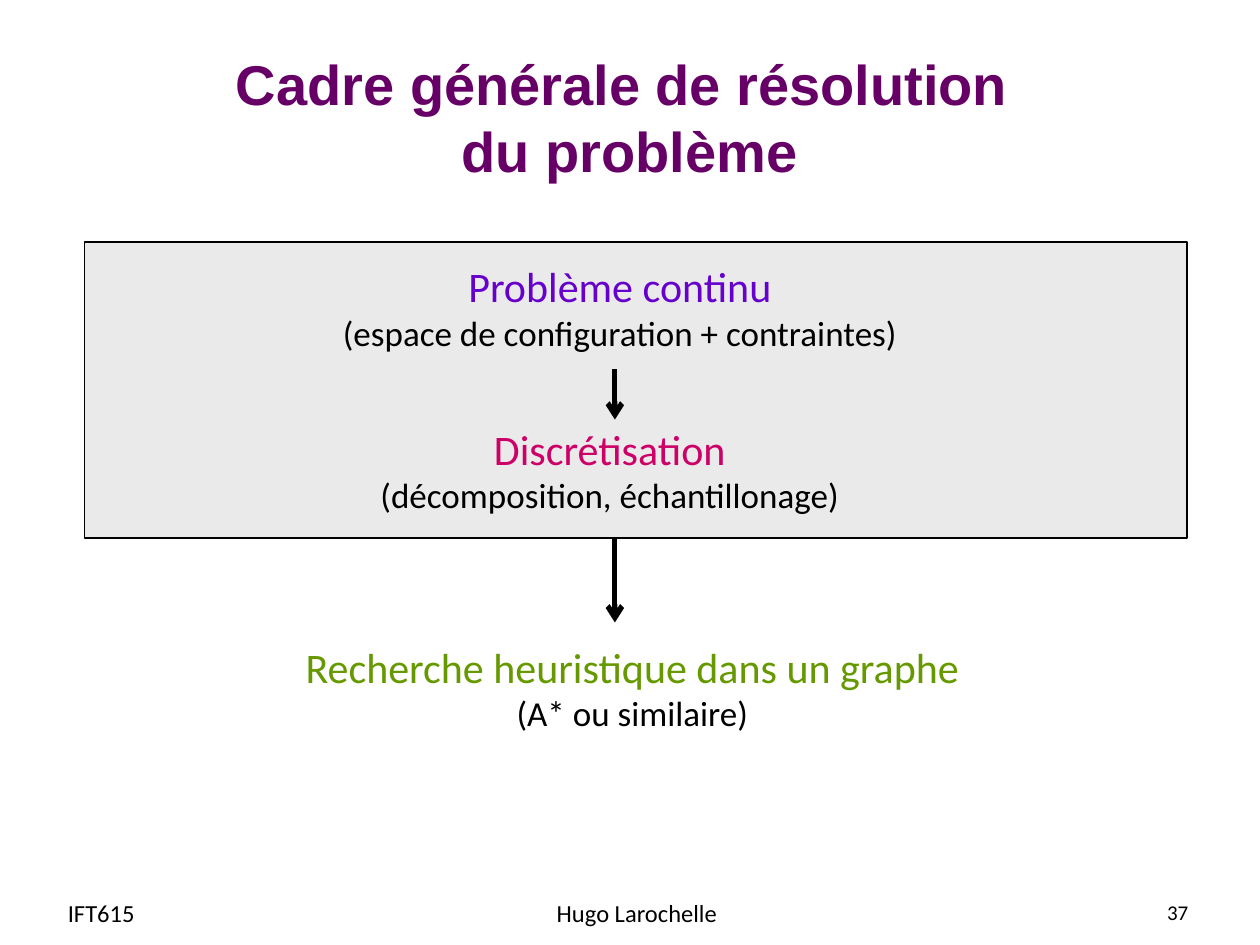
from lxml import etree
from pptx import Presentation
from pptx.dml.color import RGBColor
from pptx.enum.shapes import MSO_CONNECTOR, MSO_SHAPE
from pptx.enum.text import MSO_ANCHOR, MSO_AUTO_SIZE, PP_ALIGN
from pptx.oxml.ns import qn
from pptx.util import Inches, Pt

BLACK = RGBColor(0x00, 0x00, 0x00)
PANEL_GREY = RGBColor(0xEA, 0xEA, 0xEA)
TITLE_PURPLE = RGBColor(0x66, 0x00, 0x66)
VIOLET = RGBColor(0x66, 0x00, 0xCC)
MAGENTA = RGBColor(0xCC, 0x00, 0x66)
GREEN = RGBColor(0x66, 0x99, 0x00)

LEFT, CENTER, RIGHT = PP_ALIGN.LEFT, PP_ALIGN.CENTER, PP_ALIGN.RIGHT
TOP, MIDDLE = MSO_ANCHOR.TOP, MSO_ANCHOR.MIDDLE
FIT_SHAPE = MSO_AUTO_SIZE.SHAPE_TO_FIT_TEXT
STRAIGHT = MSO_CONNECTOR.STRAIGHT
RECTANGLE = MSO_SHAPE.RECTANGLE

WIDTH, HEIGHT = Inches(10), Inches(7.5)
ARROW_X = 48.8
PANEL_TOP, PANEL_HEIGHT = 25.6, 31.33
PANEL_BOTTOM = PANEL_TOP + PANEL_HEIGHT
STEP_HEIGHT = 11.2
FOOTER_TOP, FOOTER_HEIGHT = 93.87, 5.33

STEPS = [
    (25.9, 26.93, 46.6, "Problème continu", VIOLET,
     "(espace de configuration + contraintes)"),
    (28.6, 44.13, 39.6, "Discrétisation", MAGENTA,
     "(décomposition, échantillonage)"),
    (22.9, 67.2, 54.6, "Recherche heuristique dans un graphe", GREEN,
     "(A* ou similaire)"),
]
ARROWS = [(39.07, 44.4), (PANEL_BOTTOM, 65.87)]
FOOTERS = [
    (4.4, 19.3, "IFT615", 14, LEFT),
    (72, 23.3, "37", 12, RIGHT),
    (34.7, 31.7, "Hugo Larochelle", 14, CENTER),
]


def across(percent):
    return round(WIDTH * percent / 100)


def down(percent):
    return round(HEIGHT * percent / 100)


def area(left, top, width, height):
    return across(left), down(top), across(width), down(height)


def add_text(slide, bounds, lines, align=CENTER, anchor=MIDDLE,
             font_name="Calibri", bold=False):
    frame = slide.shapes.add_textbox(*area(*bounds)).text_frame
    frame.word_wrap = True
    frame.vertical_anchor = anchor
    for index, (wording, size, color) in enumerate(lines):
        paragraph = frame.add_paragraph() if index else frame.paragraphs[0]
        paragraph.text = wording
        paragraph.alignment = align
        paragraph.font.name = font_name
        paragraph.font.size = Pt(size)
        paragraph.font.bold = bold
        paragraph.font.color.rgb = color
    return frame


def add_panel(slide):
    panel = slide.shapes.add_shape(
        RECTANGLE, *area(6.7, PANEL_TOP, 87.5, PANEL_HEIGHT))
    panel.shadow.inherit = False
    panel.fill.solid()
    panel.fill.fore_color.rgb = PANEL_GREY
    panel.line.color.rgb = BLACK
    panel.line.width = Pt(0.75)


def add_step(slide, left, top, width, heading, color, detail):
    frame = add_text(slide, (left, top, width, STEP_HEIGHT),
                     [(heading, 24, color), (detail, 20, BLACK)], anchor=TOP)
    frame.word_wrap = False
    frame.auto_size = FIT_SHAPE


def add_arrow(slide, start, end):
    arrow = slide.shapes.add_connector(
        STRAIGHT, across(ARROW_X), down(start), across(ARROW_X), down(end))
    arrow.line.color.rgb = BLACK
    arrow.line.width = Pt(3)
    etree.SubElement(arrow.line._get_or_add_ln(), qn("a:tailEnd"), type="arrow")
    etree.SubElement(arrow._element.spPr, qn("a:effectLst"))


def main():
    deck = Presentation()
    deck.slide_width, deck.slide_height = WIDTH, HEIGHT
    slide = deck.slides.add_slide(deck.slide_layouts[6])

    add_panel(slide)
    for step in STEPS:
        add_step(slide, *step)
    for start, end in ARROWS:
        add_arrow(slide, start, end)
    for left, width, wording, size, align in FOOTERS:
        add_text(slide, (left, FOOTER_TOP, width, FOOTER_HEIGHT),
                 [(wording, size, BLACK)], align)
    add_text(slide, (5, 4, 90, 16.67),
             [("Cadre générale de résolution \vdu problème", 32, TITLE_PURPLE)],
             font_name="Arial", bold=True)

    deck.save("out.pptx")


if __name__ == "__main__":
    main()
